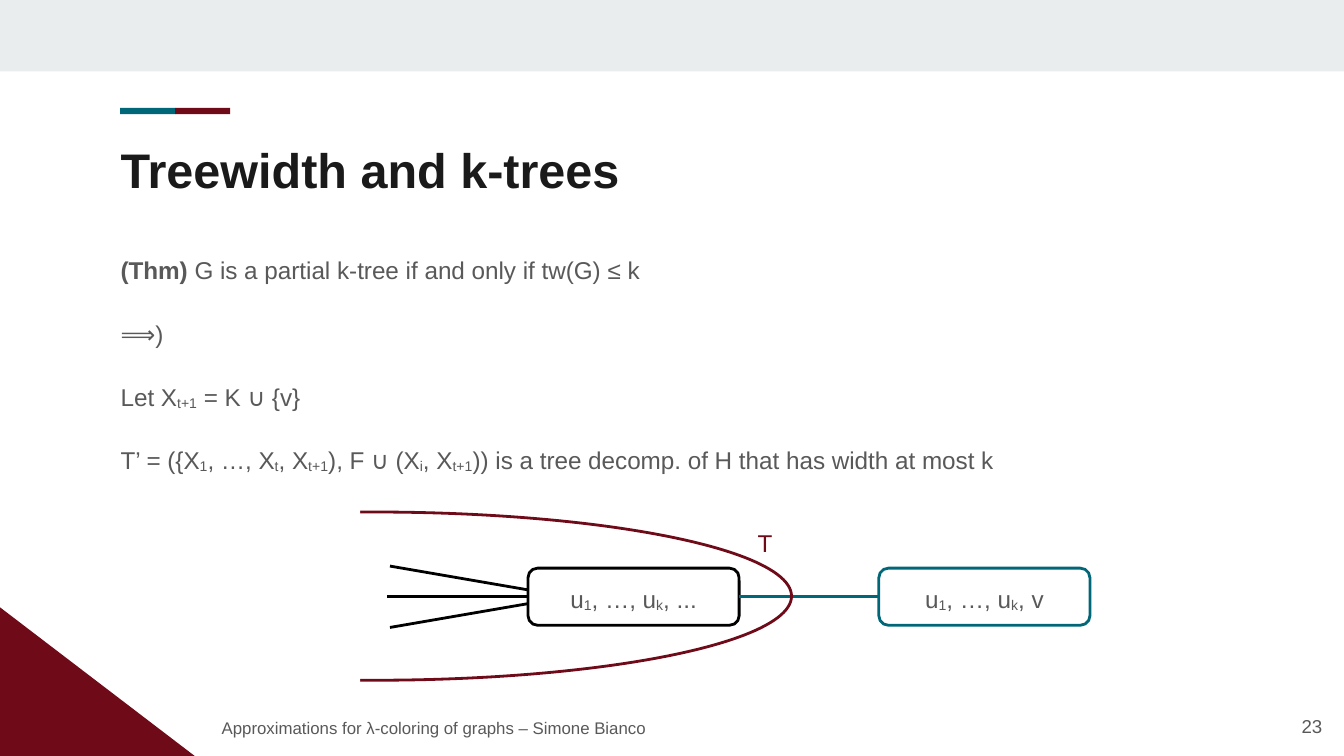
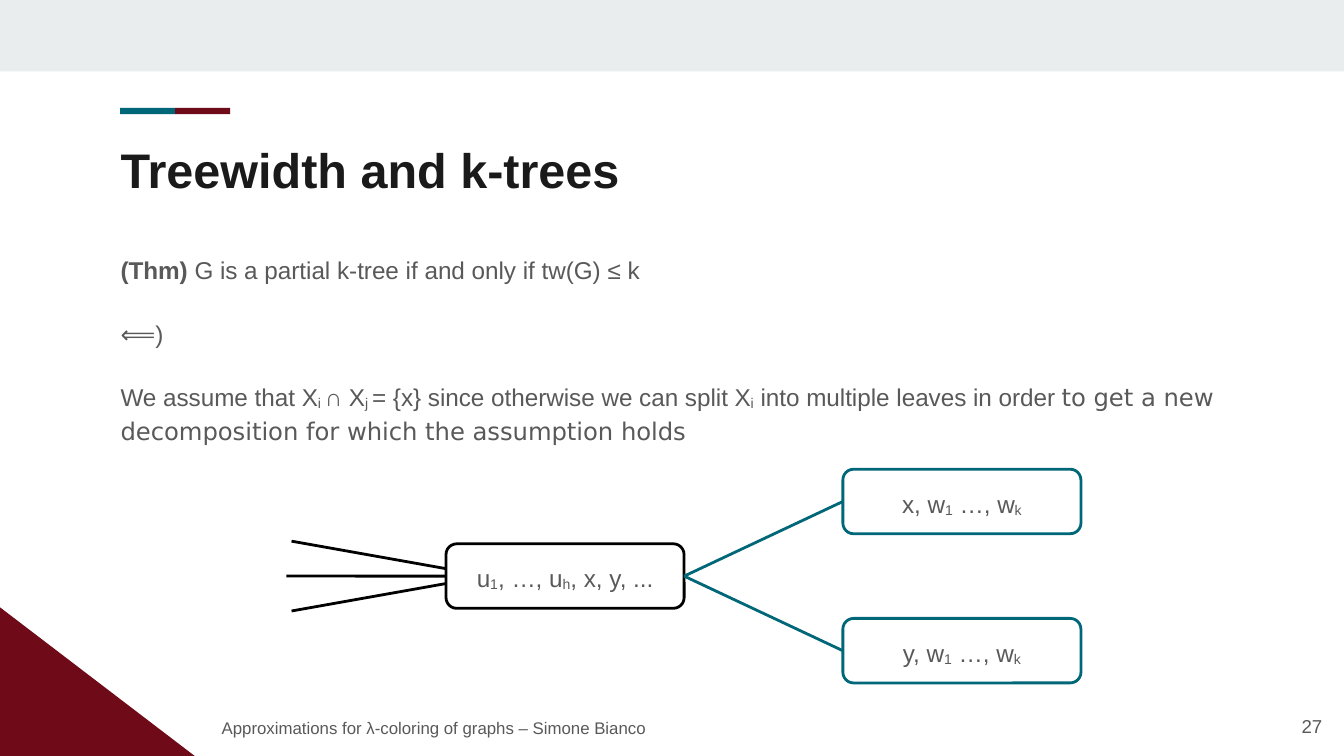
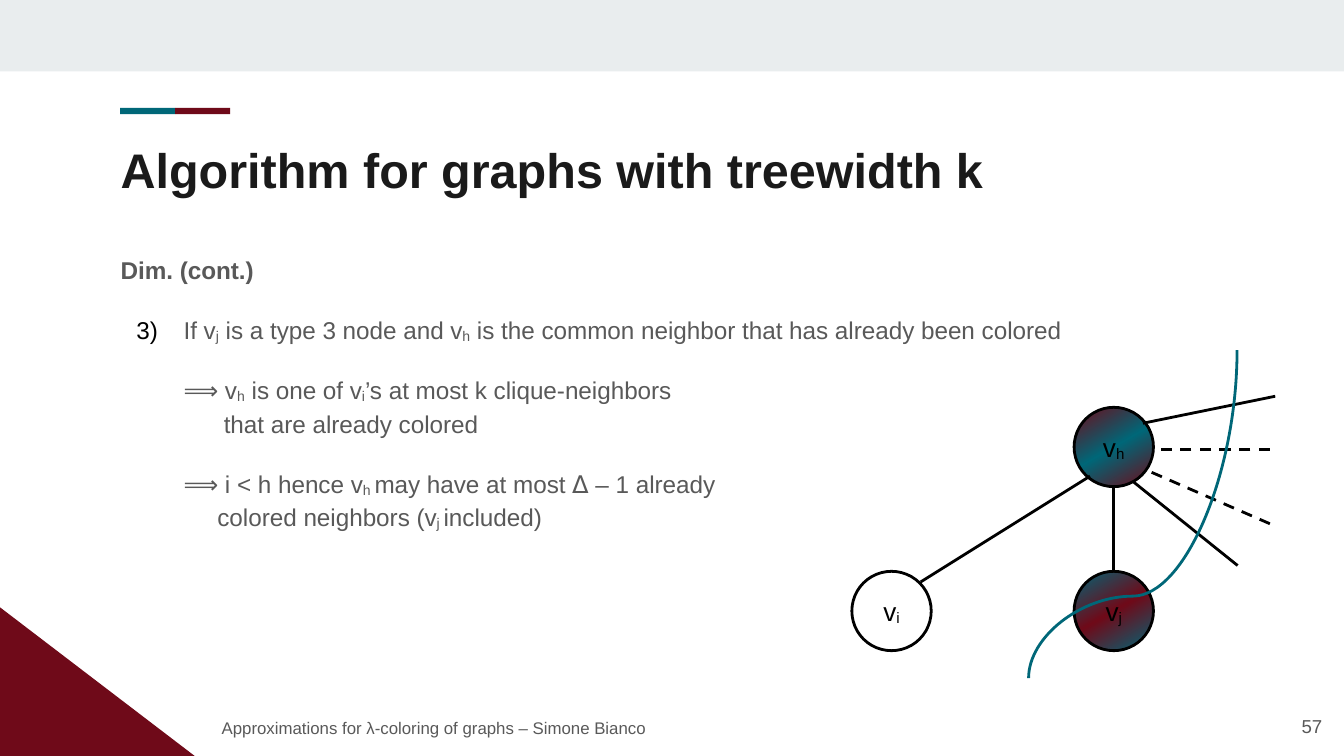
import copy

import lxml.etree
import pptx
import pptx.dml.color
import pptx.enum.dml
import pptx.enum.shapes
import pptx.enum.text
import pptx.oxml.ns
import pptx.util

Cm = pptx.util.Cm
Pt = pptx.util.Pt
RGBColor = pptx.dml.color.RGBColor
SHAPE = pptx.enum.shapes.MSO_SHAPE
CONNECTOR = pptx.enum.shapes.MSO_CONNECTOR
ALIGN = pptx.enum.text.PP_ALIGN
ANCHOR = pptx.enum.text.MSO_ANCHOR
qn = pptx.oxml.ns.qn

TEAL = RGBColor(0x00, 0x67, 0x78)
WINE = RGBColor(0x6F, 0x0A, 0x19)
MIST = RGBColor(0xE9, 0xED, 0xEE)
INK = RGBColor(0x1A, 0x1A, 0x1A)
GREY = RGBColor(0x59, 0x59, 0x59)
BLACK = RGBColor(0, 0, 0)
WHITE = RGBColor(255, 255, 255)

FONT = "Arial"
SYMBOL_FONT = "DejaVu Sans"
FOOTER = "Approximations for λ-coloring of graphs – Simone Bianco"
THEOREM = "*(Thm) *G is a partial k-tree if and only if tw(G) ≤ k"


class Slides:
    """Deck style and current page; in texts |sub|, *bold*, ~symbol font~ and a line break mark spans."""

    def __init__(self):
        self.deck = pptx.Presentation()
        self.deck.slide_width, self.deck.slide_height = Cm(25.4), Cm(14.29)
        self.page = None

    def new_page(self, title, number):
        self.page = self.deck.slides.add_slide(self.deck.slide_layouts[6])
        self.shape(SHAPE.RECTANGLE, 0, 0, 25.4, 1.35, fill=MIST)
        self.shape(SHAPE.RIGHT_TRIANGLE, 0, 11.48, 3.68, 2.81, fill=WINE)
        for index, color in enumerate((TEAL, WINE)):
            self.shape(SHAPE.RECTANGLE, 2.27 + 1.04 * index, 2.04, 1.04, 0.12, fill=color)
        self.text(title, 2.03, 2.39, 21.36, 1.47, size=26, color=INK, bold=True)
        page_number = self.text(str(number), 23.72, 13.18, 1.52, 1.09, size=10, align=ALIGN.RIGHT)
        page_number.text_frame.vertical_anchor = ANCHOR.MIDDLE
        self.text(FOOTER, 3.94, 13.28, 16.26, 0.94, size=9, spacing=1.15)

    def typeset(self, para, text, size=13, color=GREY, bold=None, align=None,
                spacing=None, before=None, after=None):
        para.font.name, para.font.size, para.font.bold = FONT, Pt(size), bold
        para.font.color.rgb = color
        para.alignment, para.line_spacing = align, spacing
        if before is not None:
            para.space_before = Pt(before)
        if after is not None:
            para.space_after = Pt(after)
        marks, piece = set(), ""
        for char in text + "\n":
            if char not in "|*~\n":
                piece += char
                continue
            if piece:
                self.span(para, piece, marks)
                piece = ""
            if char != "\n":
                marks ^= {char}
            else:
                para.add_line_break()
        para._p.remove(para._p.findall(qn("a:br"))[-1])

    def span(self, para, text, marks):
        span = para.add_run()
        span.text = text
        if "*" in marks:
            span.font.bold = True
        if "~" in marks:
            span.font.name = SYMBOL_FONT
        if "|" in marks:
            span._r.get_or_add_rPr().set("baseline", "-8000")

    def frame(self, box, side, edge):
        frame = box.text_frame
        frame.word_wrap = True
        frame.margin_left = frame.margin_right = Cm(side)
        frame.margin_top = frame.margin_bottom = Cm(edge)
        return frame

    def text(self, text, left, top, width, height, edge=0.25, **style):
        box = self.page.shapes.add_textbox(Cm(left), Cm(top), Cm(width), Cm(height))
        self.typeset(self.frame(box, 0.25, edge).paragraphs[0], text, **style)
        return box

    def body(self, texts, **style):
        box = self.page.shapes.add_textbox(Cm(2.03), Cm(4.5), Cm(21.97), Cm(6.27))
        frame = self.frame(box, 0.25, 0.25)
        for index, text in enumerate(texts):
            para = frame.add_paragraph() if index else frame.paragraphs[0]
            self.typeset(para, text, spacing=1.15, **style)
        return frame.paragraphs

    def indent(self, para, margin, first):
        properties = para._p.get_or_add_pPr()
        properties.set("marL", str(Cm(margin)))
        properties.set("indent", str(Cm(first)))

    def number(self, para, start):
        font = para._p.pPr.find(qn("a:defRPr"))
        color = lxml.etree.Element(qn("a:buClr"))
        lxml.etree.SubElement(color, qn("a:srgbClr"), val=str(BLACK))
        font.addprevious(color)
        font.addprevious(lxml.etree.Element(
            qn("a:buAutoNum"), type="arabicParenR", startAt=str(start)))

    def shape(self, kind, left, top, width, height, fill=None, line=None):
        shape = self.page.shapes.add_shape(kind, Cm(left), Cm(top), Cm(width), Cm(height))
        shape.shadow.inherit = False
        if fill is None:
            shape.fill.background()
        else:
            shape.fill.solid()
            shape.fill.fore_color.rgb = fill
        if line is None:
            shape.line.fill.background()
        else:
            shape.line.color.rgb = line
            shape.line.width = Pt(1.5)
        return shape

    def label(self, shape, text, **style):
        frame = self.frame(shape, 0.28, 0.15)
        frame.vertical_anchor = ANCHOR.MIDDLE
        self.typeset(frame.paragraphs[0], text, align=ALIGN.CENTER, **style)

    def bag(self, text, left, top, width, height, line):
        bag = self.shape(SHAPE.ROUNDED_RECTANGLE, left, top, width, height, WHITE, line)
        self.label(bag, text, spacing=1.15, after=16)
        return bag

    def node(self, text, left, top, outer=None, inner=None):
        node = self.shape(SHAPE.OVAL, left, top, 1.5, 1.5, line=BLACK)
        self.label(node, text, size=14, color=BLACK)
        if outer is not None:
            node.fill.gradient()
            node.fill.gradient_angle = 300
            stops = node._element.spPr.find(".//" + qn("a:gsLst"))
            stops.append(copy.deepcopy(stops[0]))
            colors = (outer, inner, outer)
            for index, stop in enumerate(node.fill.gradient_stops):
                stop.position = index / 2
                stop.color.rgb = colors[index]

    def line(self, x1, y1, x2, y2, color=BLACK, dashed=False, kind=CONNECTOR.STRAIGHT):
        line = self.page.shapes.add_connector(kind, Cm(x1), Cm(y1), Cm(x2), Cm(y2))
        line.line.color.rgb = color
        line.line.width = Pt(1.5)
        if dashed:
            line.line.dash_style = pptx.enum.dml.MSO_LINE.DASH
        lxml.etree.SubElement(line._element.spPr, qn("a:effectLst"))
        return line

    def join(self, start, end):
        line = self.line(0, 0, 1, 1, TEAL)
        line.begin_connect(start, 3)
        line.end_connect(end, 1)

    def fan(self, bag, middle_tip, outer_tip, tip_rise, end_rise):
        side, center = bag.left.cm, bag.top.cm + bag.height.cm / 2
        self.line(middle_tip, center, side, center).end_connect(bag, 1)
        for sign in (1, -1):
            self.line(outer_tip, center + sign * tip_rise, side, center + sign * end_rise)

    def upright_curve(self, x1, y1, x2, y2, bend):
        curve = self.line(x1, y1, x2, y2, TEAL, kind=CONNECTOR.CURVE)
        properties = curve._element.spPr
        properties.find(qn("a:xfrm")).set("rot", "5400000")
        guides = properties.find(qn("a:prstGeom")).find(qn("a:avLst"))
        lxml.etree.SubElement(guides, qn("a:gd"), name="adj1", fmla=f"val {bend}")


def forward_proof(slides):
    slides.new_page("Treewidth and k-trees", 23)
    slides.body([
        THEOREM,
        "⟹)",
        "Let X|t+1| = K ~∪~ {v}",
        "T’ = ({X|1|, …, X|t|, X|t+1|), F ~∪~ (X|i|, X|t+1|)) is a tree decomp. of H "
        "that has width at most k",
    ], after=16)
    new_bag = slides.bag("u|1|, …, u|k|, v", 16.61, 10.74, 3.99, 1.08, TEAL)
    old_bag = slides.bag("u|1|, …, u|k|, ...", 9.98, 10.74, 3.99, 1.08, BLACK)
    slides.join(old_bag, new_bag)
    tree = slides.shape(SHAPE.CHORD, -0.81, 9.68, 15.77, 3.18, line=WINE)
    tree.adjustments[0], tree.adjustments[1] = 150.86, 64.55
    slides.shape(SHAPE.RECTANGLE, 5.92, 9.6, 0.89, 3.33, fill=WHITE)
    slides.text("T", 14.07, 9.78, 0.89, 0.97, edge=0.13, color=WINE, spacing=1.15, after=16)
    slides.fan(old_bag, 7.32, 7.37, 0.58, 0.13)


def backward_proof(slides):
    slides.new_page("Treewidth and k-trees", 27)
    slides.body([
        THEOREM,
        "⟸)",
        "We assume that X|i |∩ X|j |= {x} since otherwise we can split X|i| into multiple "
        "leaves in order ~to get a new decomposition for which the assumption holds~",
    ], after=16)
    parent = slides.bag("u|1|, …, u|h|, x, y, ...", 8.43, 10.28, 4.5, 1.22, BLACK)
    for vertex, top in (("x", 8.87), ("y", 11.69)):
        leaf = slides.bag(vertex + ", w|1| …, w|k|", 15.93, top, 4.5, 1.22, TEAL)
        slides.join(parent, leaf)
    slides.fan(parent, 5.41, 5.51, 0.66, 0.14)


def coloring_algorithm(slides):
    slides.new_page("Algorithm for graphs with treewidth k", 57)
    paras = slides.body([
        "*Dim. (cont.)*",
        "If v|j| is a type 3 node and v|h| is the common neighbor that has already been colored",
        "⟹ v|h| is one of v|i|’s at most k clique-neighbors\nthat are already colored",
        "~⟹~ i < h hence v|h |may have at most ~Δ~ – 1 already\ncolored neighbors (v|j |included)",
    ], before=14.2)
    for para, margin, first in zip(paras[1:], (1.19, 1.95, 1.83), (-0.89, -0.76, -0.64)):
        slides.indent(para, margin, first)
    slides.number(paras[1], 3)
    slides.node("v|i|", 16.1, 10.8)
    slides.node("v|j|", 20.3, 10.8, TEAL, WINE)
    slides.node("v|h|", 20.3, 7.7, WINE, TEAL)
    for ends in ((17.4, 11, 20.6, 9), (21.05, 9.2, 21.05, 10.8),
                 (24.1, 7.49, 21.6, 8), (23.39, 10.69, 21.41, 9.1)):
        slides.line(*ends)
    for ends in ((24, 8.5, 21.8, 8.5), (24, 9.9, 21.7, 8.9)):
        slides.line(*ends, dashed=True)
    slides.upright_curve(24.51, 11.69, 18.31, 7.75, 25000)


def main():
    slides = Slides()
    for draw in (forward_proof, backward_proof, coloring_algorithm):
        draw(slides)
    slides.deck.save("out.pptx")


if __name__ == "__main__":
    main()
